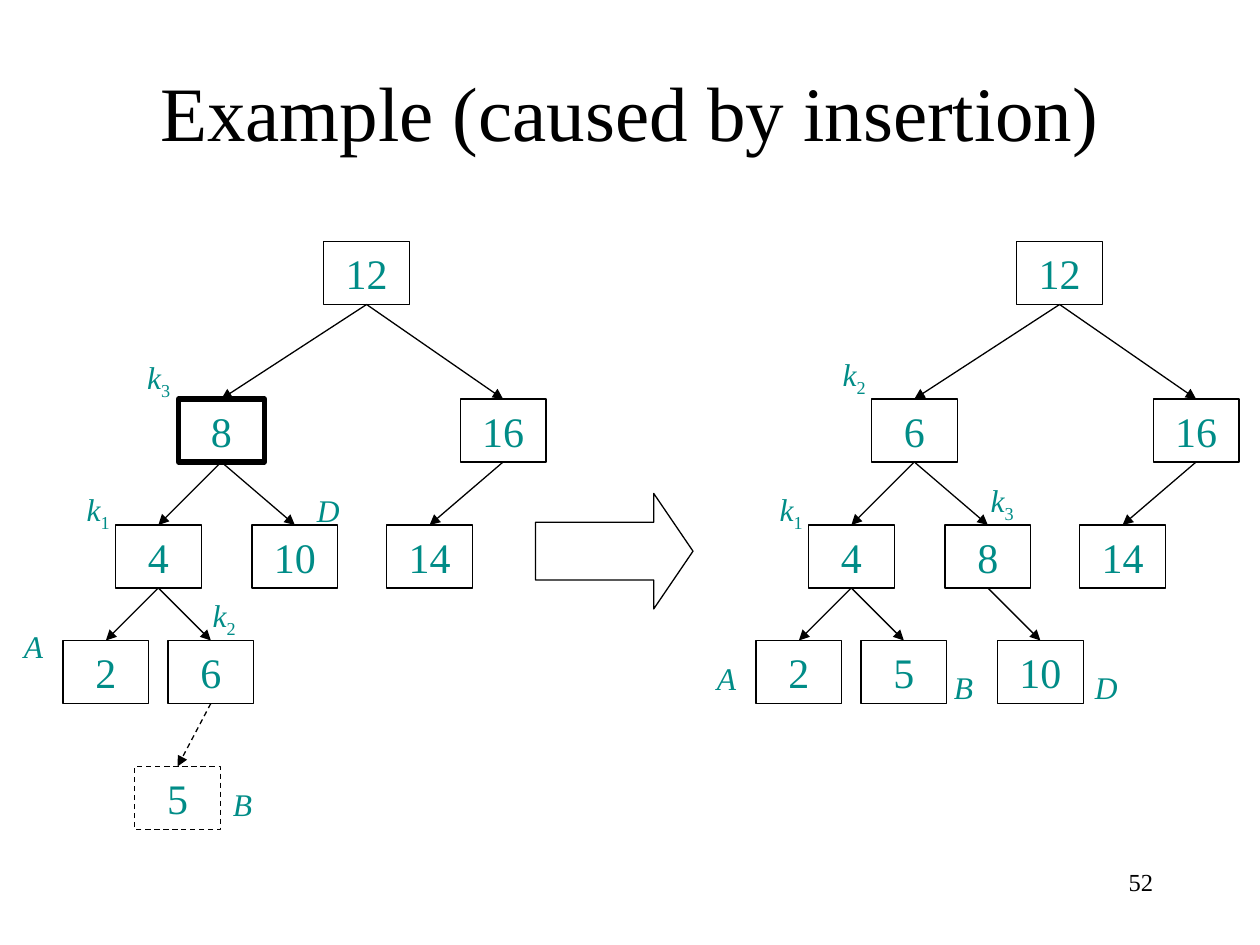
"""Builds a slide showing a double rotation in a search tree after an insertion."""
from pptx import Presentation
from pptx.dml.color import RGBColor as Color
from pptx.enum.dml import MSO_LINE as Dash
from pptx.enum.shapes import MSO_CONNECTOR as Connector, MSO_SHAPE as Shape
from pptx.enum.text import MSO_ANCHOR as Anchor, MSO_AUTO_SIZE as AutoSize, PP_ALIGN as Align
from pptx.oxml.ns import qn
from pptx.util import Pt
from lxml.etree import SubElement

COLORS = {"ink": "000000", "value": "008C87", "paper": "FFFFFF"}
FONT = "Times New Roman"
NODE_WIDTH, NODE_HEIGHT = 49, 36
LEVELS = [138, 228, 300, 366, 438]
BOTTOM_SITE, TOP_SITE = 2, 0

BEFORE = {
    "shift": 0,
    "nodes": {"12": (185, 0), "8": (102, 1), "16": (263, 1), "14": (221, 2), "10": (144, 2),
              "4": (66, 2), "6": (96, 3), "2": (36, 3), "5": (77, 4)},
    "edges": [("12", "8"), ("12", "16"), ("16", "14"), ("8", "10"), ("8", "4"),
              ("4", "6"), ("4", "2"), ("6", "5")],
    "labels": {"k3": (77, 201), "k1": (42.5, 276.5), "D": (174, 277), "A": (6.5, 355),
               "B": (126, 445), "k2": (114.5, 337)},
    "unbalanced": "8",
    "inserted": "5",
}
AFTER = {
    "shift": 396,
    "nodes": {"12": (185, 0), "6": (102, 1), "16": (263, 1), "14": (221, 2), "8": (144, 2),
              "4": (66, 2), "5": (96, 3), "2": (36, 3), "10": (174, 3)},
    "edges": [("12", "6"), ("12", "16"), ("16", "14"), ("6", "8"), ("6", "4"),
              ("4", "5"), ("4", "2"), ("8", "10")],
    "labels": {"k3": (163, 271.5), "k1": (42.5, 276.5), "D": (222.5, 378), "A": (6.5, 373),
               "B": (142, 378), "k2": (78.5, 199.5)},
    "unbalanced": None,
    "inserted": None,
}


def write(para, text, size=24, color="value", italic=False, subscript=False, align=Align.LEFT):
    """Add a formatted span of text to a paragraph."""
    para.alignment = align
    span = para.add_run()
    span.text = text
    span.font.name = FONT
    span.font.size = Pt(size)
    span.font.italic = italic
    span.font.color.rgb = Color.from_string(COLORS[color])
    if subscript:
        span.font._element.set("baseline", "-25000")


class TreeSlide:
    """Holds the slide and the line style shared by its elements."""

    def __init__(self, slide, line_width=0.75):
        self.slide = slide
        self.shapes = slide.shapes
        self.line_width = line_width

    def outline(self, line, width=None, dashed=False):
        """Give a line the ink colour, a width and an optional dash."""
        line.color.rgb = Color.from_string(COLORS["ink"])
        line.width = Pt(width or self.line_width)
        if dashed:
            line.dash_style = Dash.DASH

    def title(self, text):
        """Fill and place the title placeholder."""
        box = self.shapes.title
        box.left, box.top, box.width, box.height = Pt(54), Pt(18), Pt(612), Pt(90)
        box.text_frame.vertical_anchor = Anchor.MIDDLE
        write(box.text_frame.paragraphs[0], text, size=44, color="ink", align=Align.CENTER)

    def node(self, text, left, top, width=None, dashed=False):
        """Draw a tree node and return it."""
        box = self.shapes.add_shape(Shape.RECTANGLE, Pt(left), Pt(top),
                                    Pt(NODE_WIDTH), Pt(NODE_HEIGHT))
        box.shadow.inherit = False
        box.fill.background()
        self.outline(box.line, width, dashed)
        box.text_frame.word_wrap = False
        box.text_frame.vertical_anchor = Anchor.MIDDLE
        write(box.text_frame.paragraphs[0], text, align=Align.CENTER)
        return box

    def edge(self, parent, child, dashed=False):
        """Join a parent node to its child with an arrow."""
        link = self.shapes.add_connector(Connector.STRAIGHT, 0, 0, 0, 0)
        link.begin_connect(parent, BOTTOM_SITE)
        link.end_connect(child, TOP_SITE)
        self.outline(link.line, dashed=dashed)
        SubElement(link.line._get_or_add_ln(), qn("a:tailEnd"), type="triangle")
        SubElement(link._element.spPr, qn("a:effectLst"))

    def label(self, text, left, top):
        """Write an italic letter with its index, if any, as a subscript."""
        letter, index = text[0], text[1:]
        width, height = (27.5, 31.5) if index else (26, 29)
        box = self.shapes.add_textbox(Pt(left), Pt(top), Pt(width), Pt(height))
        box.text_frame.word_wrap = False
        box.text_frame.auto_size = AutoSize.SHAPE_TO_FIT_TEXT
        para = box.text_frame.paragraphs[0]
        write(para, letter, size=18, italic=True)
        if index:
            write(para, index, size=18, subscript=True)

    def tree(self, shift, nodes, edges, labels, unbalanced, inserted):
        """Draw a whole tree with its nodes, edges and labels."""
        boxes = {}
        for key, (left, level) in nodes.items():
            boxes[key] = self.node(key, left + shift, LEVELS[level],
                                   width=3 if key == unbalanced else None,
                                   dashed=key == inserted)
        for parent, child in edges:
            self.edge(boxes[parent], boxes[child], dashed=child == inserted)
        for text, (left, top) in labels.items():
            self.label(text, left + shift, top)

    def block_arrow(self, left, top, width, height):
        """Draw the large arrow between the two trees."""
        arrow = self.shapes.add_shape(Shape.RIGHT_ARROW, Pt(left), Pt(top), Pt(width), Pt(height))
        arrow.adjustments[0], arrow.adjustments[1] = 0.5, 0.34
        arrow.shadow.inherit = False
        arrow.fill.solid()
        arrow.fill.fore_color.rgb = Color.from_string(COLORS["paper"])
        self.outline(arrow.line)

    def page_number(self, text):
        """Write the page number at the lower right."""
        box = self.shapes.add_textbox(Pt(516), Pt(492), Pt(150), Pt(36))
        box.text_frame.word_wrap = True
        write(box.text_frame.paragraphs[0], text, size=14, color="ink", align=Align.RIGHT)


def main():
    """Build and save the deck."""
    deck = Presentation()
    deck.slide_width, deck.slide_height = Pt(720), Pt(540)
    page = TreeSlide(deck.slides.add_slide(deck.slide_layouts[5]))
    page.title("Example (caused by insertion)")
    page.tree(**BEFORE)
    page.block_arrow(306, 282, 90, 66)
    page.tree(**AFTER)
    page.page_number("52")
    deck.save("out.pptx")


if __name__ == "__main__":
    main()
